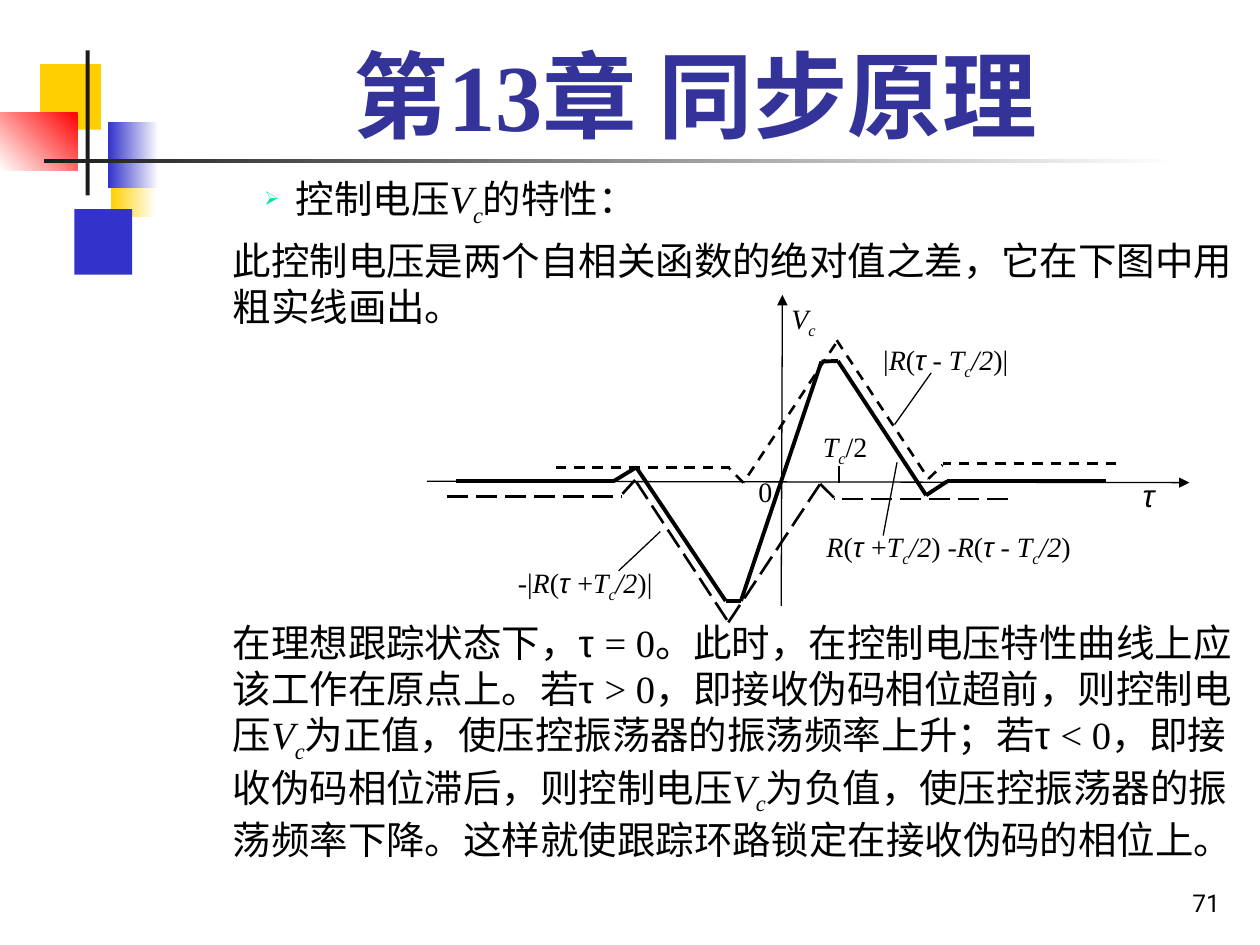
from itertools import pairwise

from lxml import etree
from pptx import Presentation
from pptx.dml.color import RGBColor
from pptx.enum.dml import MSO_LINE
from pptx.enum.shapes import MSO_CONNECTOR, MSO_SHAPE
from pptx.enum.text import MSO_ANCHOR, PP_ALIGN
from pptx.oxml.ns import qn
from pptx.util import Pt

RECT, STRAIGHT = MSO_SHAPE.RECTANGLE, MSO_CONNECTOR.STRAIGHT
DASH, LONG_DASH = MSO_LINE.DASH, MSO_LINE.LONG_DASH
LEFT, CENTER, RIGHT = PP_ALIGN.LEFT, PP_ALIGN.CENTER, PP_ALIGN.RIGHT
TOP, BOTTOM = MSO_ANCHOR.TOP, MSO_ANCHOR.BOTTOM

THEME = {
    "serif": "Times New Roman", "sans": "Arial", "number": "Roboto",
    "ink": "000000", "title": "333399", "bullet": "00E4A8",
    "yellow": "FFCF01", "blue": "3333CC", "red": "FF0000",
    "white": "FFFFFF", "dark": "1C1C1C",
    "title_pt": 54, "body_pt": 22, "axis_pt": 18, "label_pt": 16, "number_pt": 14,
    "thin": 0.75, "medium": 1.5, "thick": 2.25,
}

# Run styles: font values, with "baseline" for subscripts
STYLES = {
    "plain": {"name": THEME["serif"]},
    "var": {"name": THEME["serif"], "italic": True},
    "sub": {"name": THEME["serif"], "italic": True, "baseline": "-25000"},
    "tau": {"name": THEME["sans"]},
    "tau_var": {"name": THEME["sans"], "italic": True},
    "title": {"name": THEME["serif"], "bold": True},
    "number": {"name": THEME["number"]},
}

# Content
V_C = [("V", "var"), ("c", "sub")]
T_C = [("T", "var"), ("c", "sub")]
EARLY = [("R", "var"), ("(", "plain"), ("τ ", "tau_var"), ("+", "plain"),
         *T_C, ("/2", "var")]
LATE = [("R", "var"), ("(", "plain"), ("τ", "tau_var"), (" - T", "var"),
        ("c", "sub"), ("/2", "var")]

TITLE = [("第13章 同步原理", "title")]
PAGE_NUMBER = [("71", "number")]
BULLET = [("控制电压", "plain"), *V_C, ("的特性：", "plain")]
INTRO = [("此控制电压是两个自相关函数的绝对值之差，它在下图中用粗实线画出。", "plain")]
TRACKING = [
    ("在理想跟踪状态下，", "plain"), ("τ ", "tau"),
    ("= 0。此时，在控制电压特性曲线上应该工作在原点上。若", "plain"), ("τ ", "tau"),
    ("> 0，即接收伪码相位超前，则控制电压", "plain"), *V_C,
    ("为正值，使压控振荡器的振荡频率上升；若", "plain"), ("τ ", "tau"),
    ("< 0，即接收伪码相位滞后，则控制电压", "plain"), *V_C,
    ("为负值，使压控振荡器的振荡频率下降。这样就使跟踪环路锁定在接收伪码的相位上。", "plain"),
]

# Corner ornament: box, colours (one is solid, two are a gradient), angle
ORNAMENT = [
    ((63.4, 86.4, 25.9, 37.4), ("white", "yellow"), 180),
    ((42.5, 119.5, 33.1, 37.4), ("blue",), None),
    ((23, 36.7, 34.6, 37.4), ("yellow",), None),
    ((61.9, 69.8, 28.8, 37.4), ("white", "blue"), 180),
    ((0, 64.1, 44.4, 33.1), ("red", "white"), 225),
    ((49, 28.8, 2.2, 82.8), ("dark",), None),
    ((25.2, 90.7, 648, 2.2), ("white", "dark"), 180),
]

# Diagram: polylines as corner points
AXES = [[(244.1, 275), (679.7, 275.8)], [(446.4, 346.3), (447.1, 168.5)]]
POINTERS = [
    [(479.5, 275.8), (479.5, 266.4)], [(504.7, 306), (512.6, 264.2)],
    [(377.3, 303.8), (353.5, 326.2)], [(532.1, 213.1), (511.2, 242.6)],
]
LATE_CURVE = [
    [(478.1, 194.4), (530.6, 273.6), (538.6, 265.7)],
    [(477.4, 196.6), (424.8, 275.8), (416.9, 267.8)],
    [(317.5, 267.1), (416.9, 267.1)], [(637.9, 265), (538.6, 265)],
]
EARLY_CURVE = [
    [(416.2, 355.7), (468.7, 276.5), (476.6, 284.4)],
    [(415.4, 354.2), (362.9, 274.3), (355.7, 282.2)],
    [(255.6, 283.7), (355.7, 283.7)], [(576, 285.1), (476.6, 285.1)],
]
CONTROL_CURVE = [[
    (260.6, 275), (350.6, 275), (363.6, 267.1), (414.7, 343.4), (423.4, 343.4),
    (469.4, 206.6), (478.8, 206.3), (529.2, 283), (541.4, 275), (632.2, 275),
]]
LABELS = [  # box, runs, size
    ((653, 272.2, 20.2, 22.3), [("τ", "tau_var")], "axis_pt"),
    ((433.4, 271.4, 20.2, 22.3), [("0", "plain")], "label_pt"),
    ((452.2, 172.1, 21.6, 19.4), V_C, "label_pt"),
    ((504.7, 195.8, 85.7, 18.7), [("|", "plain"), *LATE, (")|", "plain")], "label_pt"),
    ((295.9, 323.3, 87.8, 20.2), [("-|", "plain"), *EARLY, (")|", "plain")], "label_pt"),
    ((472.3, 302.4, 153.4, 24.5),
     [*EARLY, (") -", "plain"), *LATE, (")", "plain")], "label_pt"),
    ((470.2, 245.5, 35.3, 24.5), [*T_C, ("/2", "plain")], "label_pt"),
]


def rgb(key):
    return RGBColor.from_string(THEME[key])


def add_block(slide, box, colors, angle):
    block = slide.shapes.add_shape(RECT, *map(Pt, box))
    block.shadow.inherit = False
    block.line.fill.background()
    if angle is None:
        block.fill.solid()
        block.fill.fore_color.rgb = rgb(colors[0])
        return
    block.fill.gradient()
    block.fill.gradient_angle = angle
    for stop, color, position in zip(block.fill.gradient_stops, colors, (0, 1)):
        stop.color.rgb = rgb(color)
        stop.position = position


def add_polylines(slide, polylines, width, dash=None, arrow=False):
    for corners in polylines:
        for start, end in pairwise(corners):
            segment = slide.shapes.add_connector(STRAIGHT, *map(Pt, (*start, *end)))
            segment.line.color.rgb = rgb("ink")
            segment.line.width = Pt(THEME[width])
            if dash is not None:
                segment.line.dash_style = dash
            if arrow:
                etree.SubElement(segment.line._get_or_add_ln(), qn("a:tailEnd"), type="triangle")
            etree.SubElement(segment._element.spPr, qn("a:effectLst"))


def add_runs(paragraph, runs, size, color):
    for text, style in runs:
        run = paragraph.add_run()
        run.text = text
        run.font.size = Pt(THEME[size])
        run.font.color.rgb = rgb(color)
        for key, value in STYLES[style].items():
            if key == "baseline":
                run._r.get_or_add_rPr().set(key, value)
            else:
                setattr(run.font, key, value)


def add_text(slide, box, paragraphs, size, color="ink", align=LEFT, anchor=TOP, inset=(7.2, 3.6)):
    frame = slide.shapes.add_textbox(*map(Pt, box)).text_frame
    across, down = map(Pt, inset)
    settings = {"word_wrap": True, "vertical_anchor": anchor, "margin_left": across,
                "margin_right": across, "margin_top": down, "margin_bottom": down}
    for key, value in settings.items():
        setattr(frame, key, value)
    for index, runs in enumerate(paragraphs):
        paragraph = frame.add_paragraph() if index else frame.paragraphs[0]
        paragraph.alignment = align
        if index:
            paragraph.space_before = Pt(5.5)
        add_runs(paragraph, runs, size, color)
    return frame


def indent(paragraph, left, first=0, bullet=None):
    props = paragraph._p.get_or_add_pPr()
    props.set("marL", str(Pt(left)))
    props.set("indent", str(Pt(first)))
    if bullet:
        tint = etree.SubElement(props, qn("a:buClr"))
        etree.SubElement(tint, qn("a:srgbClr"), val=THEME["bullet"])
        etree.SubElement(props, qn("a:buSzPct"), val="50000")
        etree.SubElement(props, qn("a:buChar"), char=bullet)


def main():
    deck = Presentation()
    deck.slide_width, deck.slide_height = Pt(720), Pt(540)
    slide = deck.slides.add_slide(deck.slide_layouts[6])

    # Ornament
    for block in ORNAMENT:
        add_block(slide, *block)

    # Body text above and below the diagram
    opening = add_text(slide, (0, 96.5, 720, 100), [BULLET, INTRO], "body_pt")
    indent(opening.paragraphs[0], 162, -18, "➢")
    indent(opening.paragraphs[1], 126)
    closing = add_text(slide, (0, 350.1, 720, 175), [TRACKING], "body_pt")
    indent(closing.paragraphs[0], 126)

    # Control voltage diagram
    add_polylines(slide, AXES, "thin", arrow=True)
    add_polylines(slide, POINTERS, "thin")
    add_polylines(slide, LATE_CURVE, "medium", DASH)
    add_polylines(slide, EARLY_CURVE, "medium", LONG_DASH)
    add_polylines(slide, CONTROL_CURVE, "thick")
    for box, runs, size in LABELS:
        add_text(slide, box, [runs], size, inset=(0, 0))

    # Title and page number
    add_text(slide, (90.7, 16.6, 613.4, 72.7), [TITLE], "title_pt", "title", CENTER, BOTTOM)
    add_text(slide, (554.4, 491.8, 149.8, 36), [PAGE_NUMBER], "number_pt", "ink", RIGHT, BOTTOM)

    deck.save("out.pptx")


if __name__ == "__main__":
    main()
